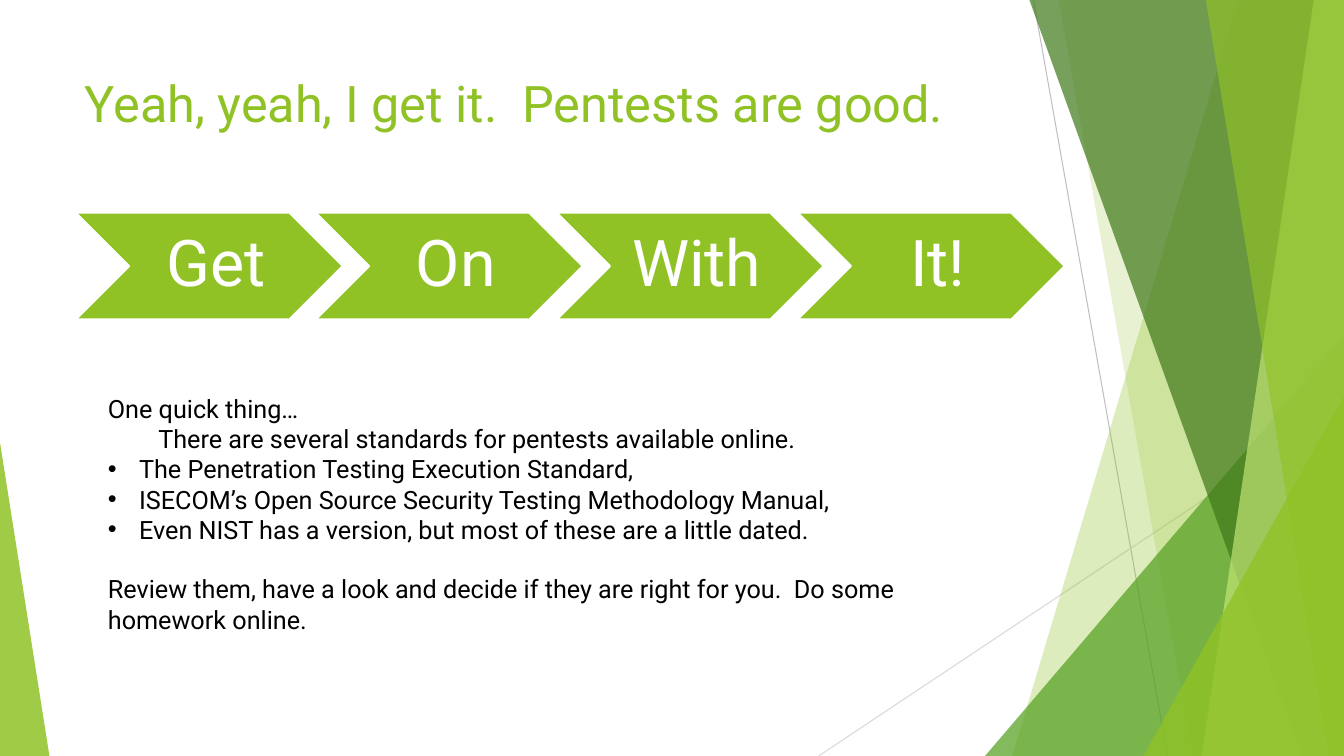
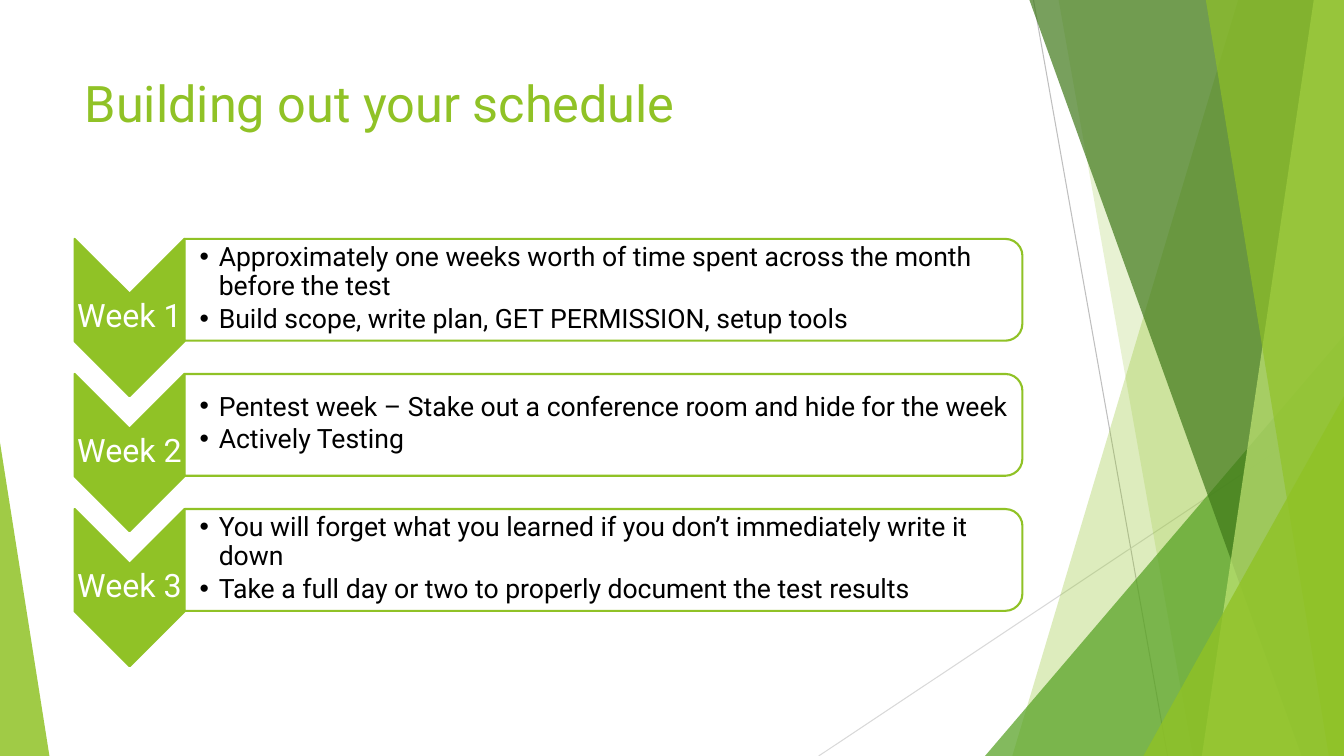
from lxml.etree import SubElement
from pptx import Presentation
from pptx.dml.color import RGBColor as Rgb
from pptx.enum.shapes import MSO_CONNECTOR as Link, MSO_SHAPE as Kind
from pptx.enum.text import MSO_ANCHOR as Anchor, MSO_AUTO_SIZE as Fit, PP_ALIGN as Align
from pptx.oxml.ns import qn
from pptx.util import Pt

PX = 9144  # one px is a hundredth of an inch
WIDE, HIGH = 1333, 750
FONT = "Roboto"
HUES = {
    "lime": "90C226", "leaf": "54A021", "moss": "3F7819", "pale": "C0E474",
    "white": "FFFFFF", "black": "000000", "gray": "BFBFBF", "mist": "D9D9D9",
}


def paint(shape, hue, alpha=100, edge=None):
    """Fill a shape flat, with an optional outline."""
    shape.shadow.inherit = False
    shape.fill.solid()
    shape.fill.fore_color.rgb = Rgb.from_string(HUES[hue])
    if alpha < 100:
        color = shape.element.spPr.find(qn("a:solidFill"))[0]
        SubElement(color, qn("a:alpha"), val=str(alpha * 1000))
    if edge:
        shape.line.color.rgb = Rgb.from_string(HUES[edge])
        shape.line.width = Pt(1.5)
    else:
        shape.line.fill.background()


def write(para, text, size, hue, align=Align.LEFT, left=0, hang=0, gap=0, pitch=1.0):
    """Write one paragraph; a hanging indent brings a bullet."""
    props = para._p.get_or_add_pPr()
    props.set("marL", str(left * PX))
    props.set("indent", str(-hang * PX))
    if hang:
        SubElement(props, qn("a:buFont"), typeface="Arial")
        SubElement(props, qn("a:buChar"), char="•")
    else:
        SubElement(props, qn("a:buNone"))
    para.alignment = align
    para.line_spacing = pitch
    para.space_before = Pt(gap)
    run = para.add_run()
    run.text = text
    run.font.name = FONT
    run.font.size = Pt(size)
    run.font.color.rgb = Rgb.from_string(HUES[hue])


deck = Presentation()
deck.slide_width, deck.slide_height = WIDE * PX, HIGH * PX
intro = deck.slides.add_slide(deck.slide_layouts[1])
plan = deck.slides.add_slide(deck.slide_layouts[5])

# Shared backdrop: thin lines
decor = []
for x1, y1, x2, y2, hue in [(1025, 0, 1158, HIGH, "gray"), (WIDE, 403, 812, HIGH, "mist")]:
    line = intro.shapes.add_connector(Link.STRAIGHT, x1 * PX, y1 * PX, x2 * PX, y2 * PX)
    line.line.color.rgb = Rgb.from_string(HUES[hue])
    line.line.width = Pt(0.75)
    SubElement(line.element.spPr, qn("a:effectLst"))
    decor.append(line)

# Shared backdrop: bands (top x, foot x) and wedges (left, top, width, apex)
veils = [
    ((1228, 1004), "lime", 30),
    ((1050, 1183), "lime", 20),
    ((977, 333, 356, 1), "leaf", 72),
    ((1021, 1291), "moss", 70),
    ((1303, 1192), "pale", 70),
    ((1196, 1318), "lime", 65),
    ((1134, 393, 199, 1), "lime", 80),
    ((0, 439, 49, 0), "lime", 85),
]
for spot, hue, alpha in veils:
    if len(spot) == 2:
        head, foot = spot
        band = intro.shapes.build_freeform(head, 0, scale=PX)
        band.add_line_segments([(WIDE, 0), (WIDE, HIGH), (foot, HIGH)], close=True)
        veil = band.convert_to_shape()
    else:
        left, top, width, apex = spot
        veil = intro.shapes.add_shape(
            Kind.ISOSCELES_TRIANGLE, left * PX, top * PX, width * PX, (HIGH - top) * PX)
        veil.adjustments[0] = apex
    paint(veil, hue, alpha)
    decor.append(veil)

# Move the backdrop to the master, behind its placeholders
tree = deck.slide_master.shapes.element
for n, item in enumerate(decor):
    item.element.xpath(".//p:cNvPr")[0].set("id", str(100 + n))
    tree.insert(2 + n, item.element)

# Titles
titles = [
    (intro, "Yeah, yeah, I get it.  Pentests are good."),
    (plan, "Building out your schedule"),
]
for slide, text in titles:
    title = slide.shapes.title
    title.left, title.top, title.width, title.height = 74 * PX, 67 * PX, 940 * PX, 144 * PX
    frame = title.text_frame
    frame.auto_size = Fit.NONE
    frame.vertical_anchor = Anchor.TOP
    write(frame.paragraphs[0], text, 36, "lime")

# Slide 1: row of chevrons
for n, word in enumerate(["Get", "On", "With", "It!"]):
    step = intro.shapes.add_shape(
        Kind.CHEVRON, (75 + round(238.5 * n)) * PX, 211 * PX, 265 * PX, 106 * PX)
    paint(step, "lime", edge="white")
    frame = step.text_frame
    frame.vertical_anchor = Anchor.MIDDLE
    frame.margin_left = 20 * PX
    frame.margin_top = frame.margin_right = frame.margin_bottom = 7 * PX
    write(frame.paragraphs[0], word, 46, "white", Align.CENTER, pitch=0.9)

# Slide 1: notes on standards (text, left, hang, gap)
notes = [
    ("One quick thing…", 0, 0, 0),
    ("There are several standards for pentests available online.", 50, 0, 0),
    ("The Penetration Testing Execution Standard,", 31, 31, 0),
    ("ISECOM’s Open Source Security Testing Methodology Manual,", 31, 31, 0),
    ("Even NIST has a version, but most of these are a little dated.", 31, 31, 0),
    ("Review them, have a look and decide if they are right for you.  "
     "Do some homework online.", 0, 0, 21),
]
body = intro.placeholders[1]
body.left, body.top, body.width, body.height = 97 * PX, 385 * PX, 917 * PX, 252 * PX
frame = body.text_frame
frame.auto_size = Fit.NONE
for n, (text, left, hang, gap) in enumerate(notes):
    para = frame.add_paragraph() if n else frame.paragraphs[0]
    write(para, text, 18, "black", left=left, hang=hang, gap=gap)

# Slide 2: one row per week
weeks = [
    ("Week 1", ["Approximately one weeks worth of time spent across the month before the test",
                "Build scope, write plan, GET PERMISSION, setup tools"]),
    ("Week 2", ["Pentest week – Stake out a conference room and hide for the week",
                "Actively Testing"]),
    ("Week 3", ["You will forget what you learned if you don’t immediately write it down",
                "Take a full day or two to properly document the test results"]),
]
for n, (week, tasks) in enumerate(weeks):
    top = 237 + 134 * n

    # Arrow and card, both turned a quarter about their centres
    for kind, left, width, height, hue, alpha in [
        (Kind.CHEVRON, 74, 109, 156, "lime", 100),
        (Kind.ROUND_2_SAME_RECTANGLE, 183, 831, 101, "white", 90),
    ]:
        shift = (width - height) * PX // 2
        part = plan.shapes.add_shape(
            kind, left * PX + shift, top * PX - shift, height * PX, width * PX)
        part.rotation = 90
        paint(part, hue, alpha, edge="lime")

    # Week label
    label = plan.shapes.add_textbox(74 * PX, (top + 54) * PX, 109 * PX, 47 * PX)
    frame = label.text_frame
    frame.word_wrap = False
    frame.vertical_anchor = Anchor.MIDDLE
    frame.margin_left = frame.margin_right = frame.margin_top = frame.margin_bottom = 2 * PX
    write(frame.paragraphs[0], week, 23, "white", Align.CENTER, pitch=0.9)

    # Task list
    card = plan.shapes.add_textbox(183 * PX, (top + 4) * PX, 826 * PX, 91 * PX)
    frame = card.text_frame
    frame.word_wrap = True
    frame.vertical_anchor = Anchor.MIDDLE
    frame.margin_left = 15 * PX
    frame.margin_top = frame.margin_right = frame.margin_bottom = PX
    for k, task in enumerate(tasks):
        para = frame.add_paragraph() if k else frame.paragraphs[0]
        write(para, task, 19, "black", left=19, hang=19, gap=3 if k else 0, pitch=0.9)

deck.save("out.pptx")
